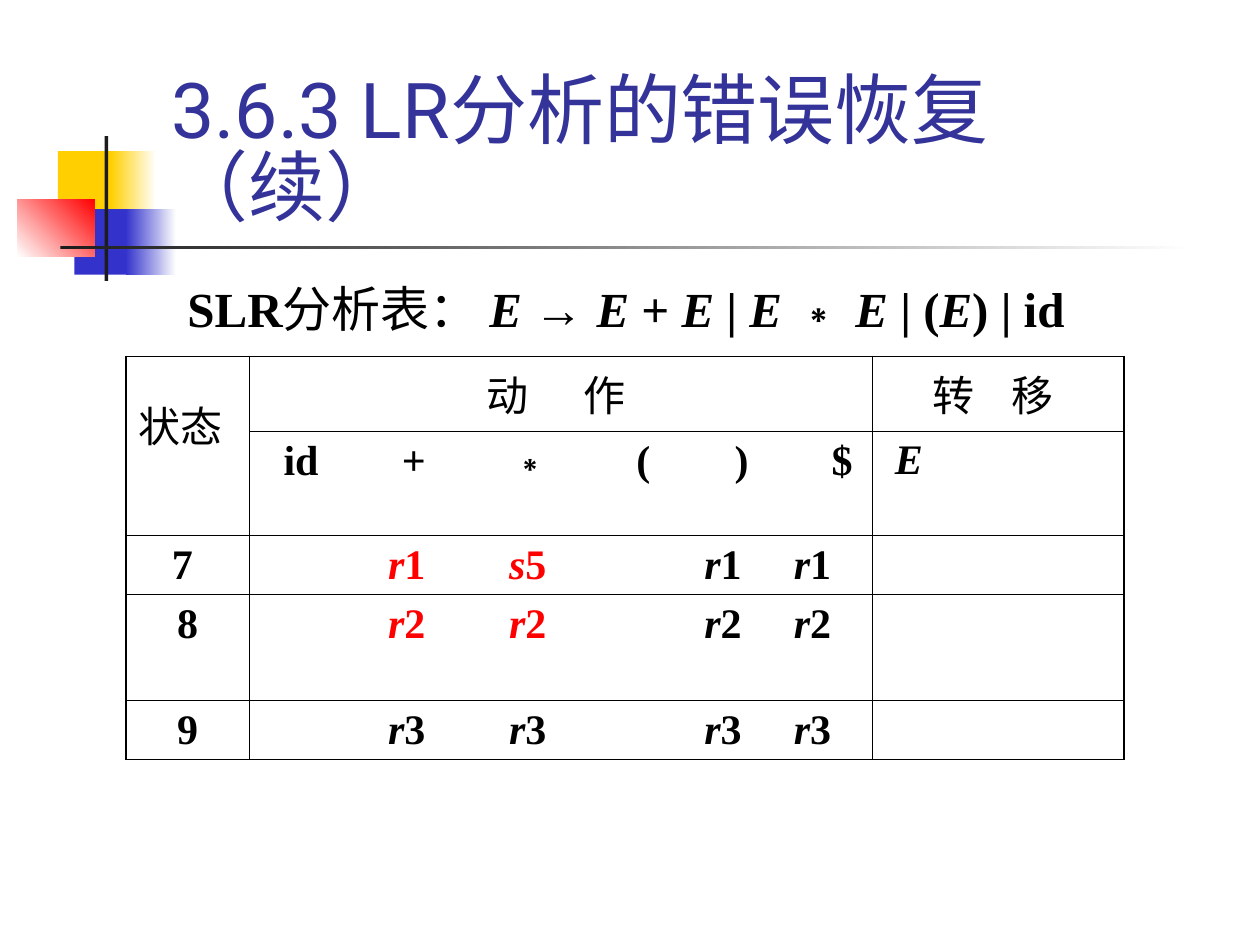
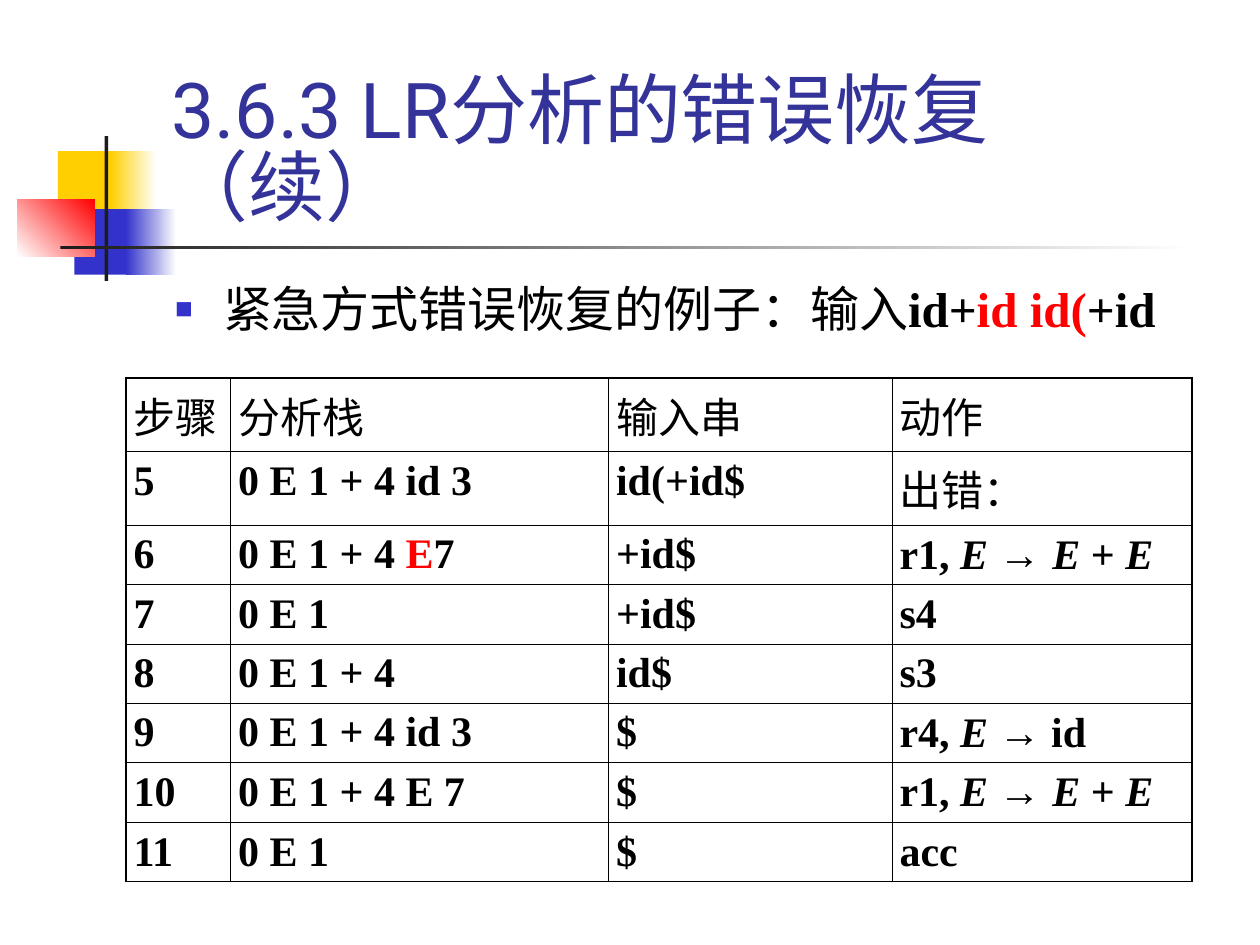
"""Build two slides on error recovery in LR parsing."""
from lxml.etree import SubElement
from pptx import Presentation
from pptx.dml.color import RGBColor
from pptx.enum.shapes import MSO_SHAPE
from pptx.enum.text import MSO_ANCHOR, MSO_AUTO_SIZE, PP_ALIGN
from pptx.oxml.ns import qn
from pptx.util import Inches, Pt

GOLD = RGBColor(0xFF, 0xCF, 0x01)
BLUE = RGBColor(0x33, 0x33, 0xCC)
NAVY = RGBColor(0x33, 0x33, 0x99)
RED = RGBColor(0xFF, 0x00, 0x00)
DARK = RGBColor(0x1C, 0x1C, 0x1C)
BLACK = RGBColor(0x00, 0x00, 0x00)
WHITE = RGBColor(0xFF, 0xFF, 0xFF)
SERIF, SANS, HAN = "Times New Roman", "Arial", "Noto Sans CJK SC"

TITLE = "3.6.3 LR分析的错误恢复（续）"
MARKS = [
    ((0.46, 1.2, 0.48, 0.52), (GOLD,), 0),
    ((0.88, 1.2, 0.36, 0.52), (GOLD, WHITE), 0),
    ((0.59, 1.66, 0.46, 0.52), (BLUE,), 0),
    ((1, 1.66, 0.4, 0.52), (BLUE, WHITE), 0),
    ((0.14, 1.58, 0.61, 0.46), (WHITE, RED), 45),
    ((0.83, 1.08, 0.03, 1.15), (DARK,), 0),
    ((0.48, 1.95, 9, 0.03), (DARK, WHITE), 0),
]

# Run flags: b bold, i italic, r red, a Arial.
SUM = [("E ", "bi"), ("→ ", "ba"), ("E ", "bi"), ("+", "b"), (" E", "bi")]
RULES = [(" ", "bi"), ("SLR", "b"), ("分析表： ", ""), *SUM, (" ", "bi"),
         ("| ", "b"), ("E ", "bi"), ("∗", "ba"), (" E ", "bi"), ("| (", "b"),
         ("E", "bi"), (") | id", "b")]
INPUT = [("紧急方式错误恢复的例子：输入", ""), ("id+", "b"),
         ("id id(", "br"), ("+id", "b")]

HEAD_TABS = (0.17, 1.11, 1.96, 2.97, 3.75, 4.52)
ACT_TABS = (1, 1.96, 3.51, 4.22)


def acts(num, first="r", hot="r"):
    """Return the runs of one row of actions."""
    cells = [("r", num, hot), (*first,) if len(first) == 3 else ("r", num, hot),
             ("r", num, ""), ("r", num, "")]
    return [run for let, dig, hue in cells
            for run in (("\t" + let, "bi" + hue), (dig, "b" + hue))]


STATES = [
    [[("状态", "")], [("动 ", "", 13), ("作 ", "")], [("转 ", "", 8), ("移 ", "")]],
    [[], [("\tid\t+\t", "b"), ("∗", "ba"), ("\t(\t)\t$", "b")],
     [(" ", ""), ("E", "bi")]],
    [[("7 ", "b")], acts("1", ("s", "5", "r")), []],
    [[("8", "b")], acts("2"), []],
    [[("9", "b")], acts("3", hot=""), []],
]
ADD = [("r1, ", "b"), *SUM]
STEPS = [[[(word, "")] for word in ("步骤", "分析栈", "输入串", "动作")]] + [
    [[(cell, "b")] if isinstance(cell, str) else cell for cell in row] for row in [
        ("5", "0 E 1 + 4 id 3", "id(+id$", [("出错：", "")]),
        ("6", [("0 E 1 + 4 ", "b"), ("E", "br"), ("7", "b")], "+id$", ADD),
        ("7", "0 E 1", "+id$", "s4"),
        ("8", "0 E 1 + 4", "id$", "s3"),
        ("9", "0 E 1 + 4 id 3", "$",
         [("r4, ", "b"), ("E ", "bi"), ("→", "ba"), (" id", "b")]),
        ("10", "0 E 1 + 4 E 7", "$", ADD),
        ("11", "0 E 1", "$", "acc"),
    ]
]


def write(para, runs, size, face=SERIF, hue=BLACK):
    """Add flagged runs to a paragraph."""
    for text, flags, *gap in runs:
        run = para.add_run()
        run.text = text
        font = run.font
        font.size, font.name = Pt(size), SANS if "a" in flags else face
        font.bold, font.italic = "b" in flags, "i" in flags
        font.color.rgb = RED if "r" in flags else hue
        props = run._r.get_or_add_rPr()
        SubElement(props, qn("a:ea"), typeface=HAN)
        if gap:
            props.set("spc", str(gap[0] * 100))


def place(shape, box):
    """Move a shape to a box in inches."""
    shape.left, shape.top, shape.width, shape.height = map(Inches, box)


def brand(slide):
    """Draw the shared marks and hand them to the layout."""
    tree = slide.slide_layout.shapes._spTree
    for box, hues, turn in MARKS:
        mark = slide.shapes.add_shape(MSO_SHAPE.RECTANGLE, *map(Inches, box))
        mark.shadow.inherit = False
        mark.line.fill.background()
        if len(hues) == 1:
            mark.fill.solid()
            mark.fill.fore_color.rgb = hues[0]
        else:
            mark.fill.gradient()
            mark.fill.gradient_angle = turn
            for stop, hue, pos in zip(mark.fill.gradient_stops, hues, (0, 1)):
                stop.color.rgb, stop.position = hue, pos
        tree.append(mark._element)


def bullet(para, sign):
    """Set a hanging indent with a square bullet or none."""
    props = para._p.get_or_add_pPr()
    props.set("marL", str(Inches(0.38)))
    props.set("indent", str(-Inches(0.38)))
    if not sign:
        SubElement(props, qn("a:buNone"))
        return
    SubElement(SubElement(props, qn("a:buClr")), qn("a:srgbClr"), val=str(BLUE))
    SubElement(props, qn("a:buSzPct"), val="60000")
    SubElement(props, qn("a:buFont"), typeface=SANS)
    SubElement(props, qn("a:buChar"), char=sign)


def start(deck, runs, wide, sign=""):
    """Add a slide with its title and lead line."""
    slide = deck.slides.add_slide(deck.slide_layouts[1])
    title, body = slide.placeholders
    place(title, (1.26, 0.23, 8.52, 1.6))
    place(body, (1.29, 2.21, wide, 4.5))
    for shape, lead in ((title, 0.83), (body, 0.9)):
        frame = shape.text_frame
        frame.auto_size, frame.word_wrap = MSO_AUTO_SIZE.NONE, True
        para = frame.paragraphs[0]
        para.alignment, para.line_spacing = PP_ALIGN.LEFT, lead
        para.space_before = Pt(0)
    title.text_frame.vertical_anchor = MSO_ANCHOR.BOTTOM
    title.text_frame.margin_bottom = 0
    write(title.text_frame.paragraphs[0], [(TITLE, "")], 44, "Roboto", NAVY)
    bullet(para, sign)
    write(para, runs, 28)
    return slide


def edge(cell, outer):
    """Draw cell borders, thicker on the table's rim."""
    props = cell._tc.get_or_add_tcPr()
    for side, rim in zip("LRTB", outer):
        line = SubElement(props, qn(f"a:ln{side}"), w=str(Pt(1.08 if rim else 0.45)))
        fill = SubElement(line, qn("a:solidFill"))
        SubElement(fill, qn("a:srgbClr"), val=str(BLACK))


def grid(slide, top, data, cols, rows, pad):
    """Add a ruled table and return it."""
    box = map(Inches, (1, top, sum(cols), sum(rows)))
    table = slide.shapes.add_table(len(rows), len(cols), *box).table
    table.first_row = table.horz_banding = False
    for col, wide in zip(table.columns, cols):
        col.width = Inches(wide)
    for y, (row, high) in enumerate(zip(data, rows)):
        table.rows[y].height = Inches(high)
        for x, runs in enumerate(row):
            cell = table.cell(y, x)
            cell.margin_left = cell.margin_right = Inches(pad)
            edge(cell, (x == 0, x == len(cols) - 1, y == 0, y == len(rows) - 1))
            cell.fill.background()
            write(cell.text_frame.paragraphs[0], runs, 24)
    return table


def stops(para, tabs):
    """Set left tab stops in inches."""
    base = SubElement(para._p.get_or_add_pPr(), qn("a:tabLst"))
    for tab in tabs:
        SubElement(base, qn("a:tab"), pos=str(Inches(tab)), algn="l")


def main():
    """Build and save the deck."""
    deck = Presentation()
    deck.slide_width, deck.slide_height = Inches(10), Inches(7.5)

    slide = start(deck, RULES, 8.29)
    brand(slide)
    table = grid(slide, 2.83, STATES, (0.98, 4.94, 2),
                 (0.59, 0.83, 0.47, 0.84, 0.47), 0.1)
    table.cell(0, 0).merge(table.cell(1, 0))
    table.cell(0, 0).text_frame.paragraphs[0].line_spacing = 1.5
    for y, x in ((0, 1), (0, 2), (2, 0), (3, 0), (4, 0)):
        table.cell(y, x).text_frame.paragraphs[0].alignment = PP_ALIGN.CENTER
    for y in range(1, 5):
        stops(table.cell(y, 1).text_frame.paragraphs[0],
              HEAD_TABS if y == 1 else ACT_TABS)

    slide = start(deck, INPUT, 8.12, "■")
    grid(slide, 3, STEPS, (0.83, 3, 2.25, 2.38), [0.55] * 2 + [0.44] * 6, 0.06)
    deck.save("out.pptx")


if __name__ == "__main__":
    main()
